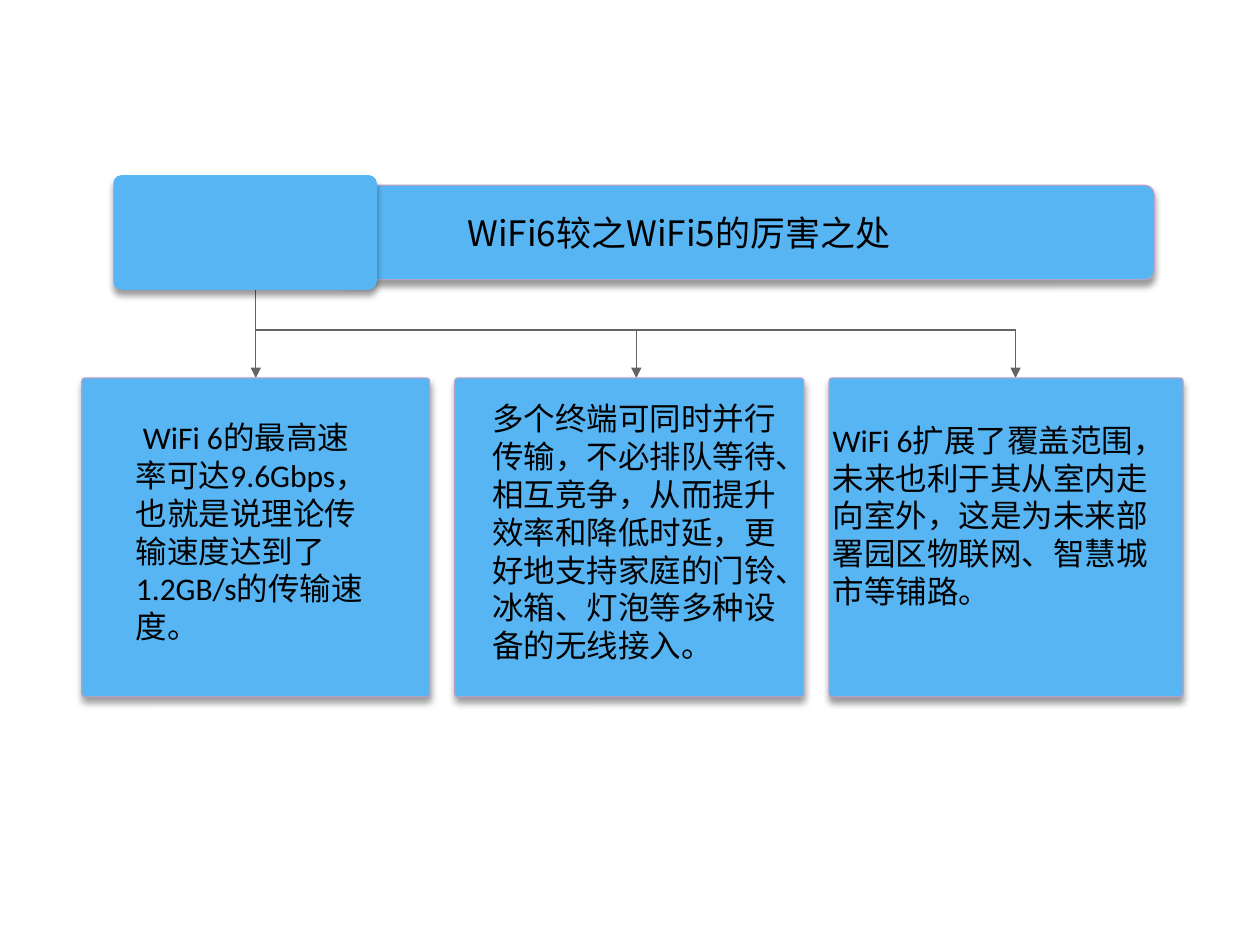
from lxml.etree import SubElement
from pptx import Presentation
from pptx.dml.color import RGBColor
from pptx.enum.shapes import MSO_CONNECTOR, MSO_SHAPE
from pptx.enum.text import MSO_ANCHOR, MSO_AUTO_SIZE, PP_ALIGN
from pptx.oxml.ns import qn
from pptx.util import Pt

BLUE = RGBColor(0x57, 0xB5, 0xF3)
LILAC = RGBColor(0xB3, 0xA2, 0xC7)
GRAY = RGBColor(0x64, 0x64, 0x64)
BLACK = RGBColor(0, 0, 0)

SPEED = " WiFi 6的最高速率可达9.6Gbps，也就是说理论传输速度达到了1.2GB/s的传输速度。"
QUEUE = ("多个终端可同时并行传输，不必排队等待、相互竞争，从而提升效率和降低时延，"
         "更好地支持家庭的门铃、冰箱、灯泡等多种设备的无线接入。")
RANGE = "WiFi 6扩展了覆盖范围，未来也利于其从室内走向室外，这是为未来部署园区物联网、智慧城市等铺路。"

CARD_TOP = 216
RAIL = 188.64
DROPS = (146.16, 363.6, 580.32)
CARDS = ((46.8, 198.72), (259.92, 199.44), (473.76, 202.32))
NOTES = (
    (SPEED, (70.56, 235.44, 150.48, 140.4)),
    (QUEUE, (274.32, 224.64, 178.56, 181.44)),
    (RANGE, (468.72, 236.88, 208.08, 115.92)),
)


def add_line(slide, start, end, arrow=False):
    line = slide.shapes.add_connector(
        MSO_CONNECTOR.STRAIGHT, *map(Pt, start + end))
    line.line.color.rgb = GRAY
    line.line.width = Pt(0.75)
    if arrow:
        SubElement(line.line._get_or_add_ln(), qn("a:tailEnd"), type="triangle")
    SubElement(line.element.spPr, qn("a:effectLst"))
    return line


def add_shade(shape):
    shape.shadow.inherit = False
    effects = shape.element.spPr.find(qn("a:effectLst"))
    shade = SubElement(effects, qn("a:outerShdw"), blurRad=str(Pt(4)),
                       dist=str(Pt(3)), dir="5400000", rotWithShape="0")
    color = SubElement(shade, qn("a:srgbClr"), val="000000")
    SubElement(color, qn("a:alpha"), val="40000")


def add_box(slide, area, round_by, edge=LILAC):
    box = slide.shapes.add_shape(MSO_SHAPE.ROUNDED_RECTANGLE, *map(Pt, area))
    box.adjustments[0] = round_by
    box.fill.solid()
    box.fill.fore_color.rgb = BLUE
    if edge is None:
        box.line.fill.background()
    else:
        box.line.color.rgb = edge
        box.line.width = Pt(0.75)
    add_shade(box)
    return box


def set_text(shape, text, size=18, font="Calibri", color=BLACK):
    frame = shape.text_frame
    frame.word_wrap = True
    frame.auto_size = MSO_AUTO_SIZE.SHAPE_TO_FIT_TEXT
    frame.vertical_anchor = MSO_ANCHOR.TOP
    frame.text = text
    para = frame.paragraphs[0]
    para.alignment = PP_ALIGN.LEFT
    para.font.size = Pt(size)
    para.font.name = font
    para.font.color.rgb = color


def add_title(slide, text, area):
    title = slide.shapes.title
    title.left, title.top, title.width, title.height = map(Pt, area)
    set_text(title, text, size=20, font="Noto Sans CJK SC")
    slide.shapes.element.append(title.element)


def main():
    deck = Presentation()
    deck.slide_width, deck.slide_height = Pt(720), Pt(540)
    slide = deck.slides.add_slide(deck.slide_layouts[5])

    tops = (163.44, RAIL, RAIL)
    drops = [add_line(slide, (x, top), (x, CARD_TOP), arrow=True)
             for x, top in zip(DROPS, tops)]
    add_line(slide, (DROPS[0], RAIL), (DROPS[-1], RAIL))

    cards = [add_box(slide, (left, CARD_TOP, width, 182.16), 0.01)
             for left, width in CARDS]
    drops[0].end_connect(cards[0], 0)

    add_box(slide, (192.96, 105.84, 466.56, 54), 0.1)
    add_box(slide, (64.8, 100.08, 150.48, 65.52), 0.07, edge=None)

    for text, area in NOTES:
        set_text(slide.shapes.add_textbox(*map(Pt, area)), text)
    add_title(slide, "WiFi6较之WiFi5的厉害之处", (259.92, 117.36, 316.08, 31.68))
    deck.save("out.pptx")


if __name__ == "__main__":
    main()
